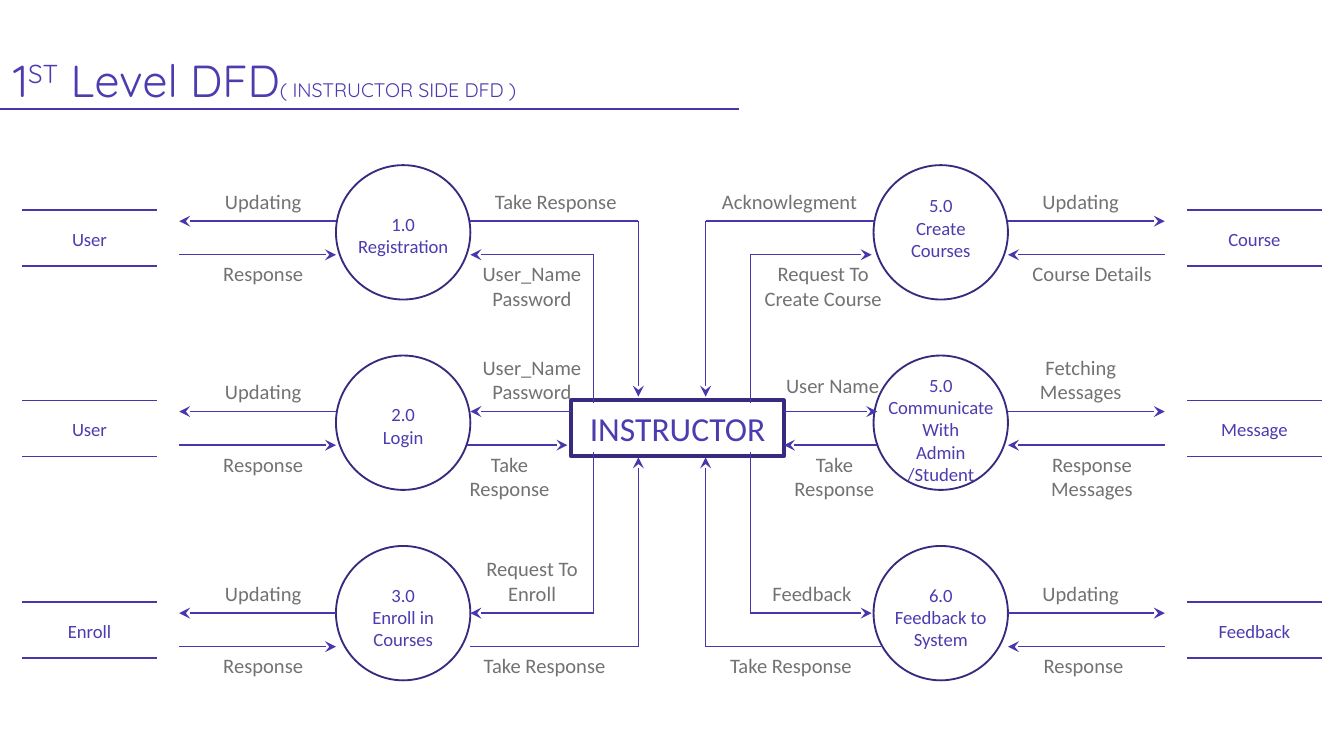
import pptx
import pptx.util
import pptx.dml.color
import pptx.enum.shapes
import pptx.enum.text
import pptx.oxml.ns
from lxml import etree

Pt = pptx.util.Pt
ALIGN = pptx.enum.text.PP_ALIGN
ANCHOR = pptx.enum.text.MSO_ANCHOR
SHAPE = pptx.enum.shapes.MSO_SHAPE
COLORS = {"text": "4B3CAF", "line": "4637AC", "outline": "362B7F", "label": "727272"}
ROW_OFFSETS = (0, 102, 210)
CIRCLE_RISES = (30, 30, 36)
LANE_GAP = 18
CIRCLE_SIZE = 72
SIDE_WIDTH = 240


def color(name):
    return pptx.dml.color.RGBColor.from_string(COLORS[name])


def add_run(paragraph, text, size, color_name, font_name="Calibri"):
    run = paragraph.add_run()
    run.text = text
    run.font.size = Pt(size)
    run.font.name = font_name
    run.font.color.rgb = color(color_name)
    return run


def add_box(slide, left, top, width, height):
    box = slide.shapes.add_textbox(Pt(left), Pt(top), Pt(width), Pt(height))
    box.text_frame.word_wrap = True
    return box


def fill_lines(frame, lines, size, color_name, alignment=ALIGN.CENTER):
    for index, line in enumerate(lines):
        paragraph = frame.add_paragraph() if index else frame.paragraphs[0]
        paragraph.alignment = alignment
        add_run(paragraph, line, size, color_name)


def add_flow(slide, points, arrow=True):
    segments = list(zip(points, points[1:]))
    for index, (start, end) in enumerate(segments):
        connector = slide.shapes.add_connector(
            pptx.enum.shapes.MSO_CONNECTOR.STRAIGHT, *map(Pt, start + end))
        connector.line.width = Pt(0.75)
        connector.line.color.rgb = color("line")
        properties = connector._element.spPr
        if arrow and index == len(segments) - 1:
            etree.SubElement(connector.line._get_or_add_ln(),
                             pptx.oxml.ns.qn("a:tailEnd"), type="stealth")
        etree.SubElement(properties, pptx.oxml.ns.qn("a:effectLst"))


def add_outline(slide, preset, left, top, width, height, weight):
    shape = slide.shapes.add_shape(preset, Pt(left), Pt(top), Pt(width), Pt(height))
    shape.shadow.inherit = False
    shape.fill.background()
    shape.line.color.rgb = color("outline")
    shape.line.width = Pt(weight)
    return shape


def add_label(slide, left, row_top, text, above, alignment=ALIGN.CENTER, line_count=1):
    height = 21 if line_count == 1 else 34
    top = row_top - height if above else row_top + LANE_GAP
    box = add_box(slide, left, top, 90, height)
    fill_lines(box.text_frame, text.split("\n"), 11, "label", alignment)


def add_title(slide, left, top, width, height):
    box = add_box(slide, left, top, width, height)
    frame = box.text_frame
    frame.margin_top = frame.margin_bottom = Pt(7.2)
    frame.vertical_anchor = ANCHOR.BOTTOM
    paragraph = frame.paragraphs[0]
    add_run(paragraph, "1", 24, "text", "Quicksand")
    ordinal = add_run(paragraph, "ST", 24, "text", "Quicksand")
    ordinal._r.get_or_add_rPr().set("baseline", "30000")
    add_run(paragraph, " Level DFD", 24, "text", "Quicksand")
    add_run(paragraph, "( INSTRUCTOR SIDE DFD )", 10.5, "text", "Quicksand")
    add_flow(slide, [(left, top + 36), (left + 396, top + 36)], arrow=False)


def add_store(slide, left, top, name):
    for offset in (-6, 24):
        add_flow(slide, [(left, top + offset), (left + 72, top + offset)], arrow=False)
    fill_lines(add_box(slide, left, top, 72, 19.5).text_frame, [name], 10, "text")


def add_process_row(slide, left, top, mirrored, rise, store, process, text_offset, labels):
    def across(offset, width=0):
        return left + (SIDE_WIDTH - offset - width if mirrored else offset)

    circle_left, circle_top = across(168, CIRCLE_SIZE), top - rise
    add_outline(slide, SHAPE.OVAL, circle_left, circle_top, CIRCLE_SIZE, CIRCLE_SIZE, 1)
    box = add_box(slide, circle_left, circle_top + text_offset, CIRCLE_SIZE, 44)
    fill_lines(box.text_frame, process.split("\n"), 10, "text")
    add_store(slide, across(0, 72), top, store)
    add_flow(slide, [(across(168), top), (across(84), top)])
    add_flow(slide, [(across(84), top + LANE_GAP), (across(168), top + LANE_GAP)])
    for above, (text, offset, *style) in zip((True, False), labels):
        add_label(slide, left + offset, top, text, above, *style)


def add_instructor_hub(slide, left, top, width):
    hub = add_outline(slide, SHAPE.RECTANGLE, left + 54, top + 96, 114, 30, 2)
    hub.text_frame.word_wrap = True
    hub.text_frame.margin_top = hub.text_frame.margin_bottom = 0
    hub.text_frame.vertical_anchor = ANCHOR.MIDDLE
    fill_lines(hub.text_frame, ["INSTRUCTOR"], 18, "text")

    last = ROW_OFFSETS[2]
    for side, arrival, departure in ((-1, 108, 108), (1, 107, 112)):
        routes = (
            ((42, 97.5), (42, LANE_GAP), (arrival, LANE_GAP)),
            ((108, 0), (18, 0), (18, 94)),
            ((42, 123.5), (42, last), (arrival, last)),
            ((departure, last + LANE_GAP), (18, last + LANE_GAP), (18, 126.5)),
        )
        for route in routes:
            add_flow(slide, [(left + width / 2 + side * x, top + y) for x, y in route])

    middle = ROW_OFFSETS[1]
    for start, end, y in ((54, 0, middle), (-2, 52, middle + LANE_GAP),
                          (168, 218, middle), (218, 168, middle + LANE_GAP)):
        add_flow(slide, [(left + start, top + y), (left + end, top + y)])

    center, flush = ALIGN.CENTER, ALIGN.LEFT
    labels = (
        (6, 0, "Take Response", True, flush),
        (-12, 0, "User_Name\nPassword", False, center, 2),
        (126, 0, "Acknowlegment", True),
        (144, 0, "Request To\nCreate Course", False, center, 2),
        (-12, middle, "User_Name\nPassword", True, center, 2),
        (-24, middle, "Take\nResponse", False, center, 2),
        (162, middle - 3, "User Name", True, flush),
        (150, middle, "Take\nResponse", False, center, 2),
        (-12, last, "Request To Enroll", True, center, 2),
        (0, last, "Take Response", False, flush),
        (138, last, "Feedback", True),
        (132, last, "Take Response", False, flush),
    )
    for x, y, *label in labels:
        add_label(slide, left + x, top + y, *label)


def main():
    presentation = pptx.Presentation()
    presentation.slide_width, presentation.slide_height = Pt(720), Pt(405)
    slide = presentation.slides.add_slide(presentation.slide_layouts[6])
    add_title(slide, 0, 22.5, 461.5, 41.5)

    center, flush = ALIGN.CENTER, ALIGN.LEFT
    usual = (("Updating", 84), ("Response", 84))
    left_rows = (
        ("User", "1.0\nRegistration", 22, usual),
        ("User", "2.0\nLogin", 22, usual),
        ("Enroll", "3.0\nEnroll in Courses", 16.5, usual),
    )
    right_rows = (
        ("Course", "5.0\nCreate Courses", 12,
         (("Updating", 66), ("Course Details", 78, flush))),
        ("Message", "5.0\nCommunicate\nWith Admin /Student", 6,
         (("Fetching Messages", 66, center, 2), ("Response Messages", 72, center, 2))),
        ("Feedback", "6.0\nFeedback to System", 16.5,
         (("Updating", 66), ("Response", 84, flush))),
    )
    top = 118.5
    for left, mirrored, rows in ((12, False, left_rows), (468, True, right_rows)):
        for offset, rise, row in zip(ROW_OFFSETS, CIRCLE_RISES, rows):
            add_process_row(slide, left, top + offset, mirrored, rise, *row)
    add_instructor_hub(slide, 252, top, 216)
    presentation.save("out.pptx")


if __name__ == "__main__":
    main()
